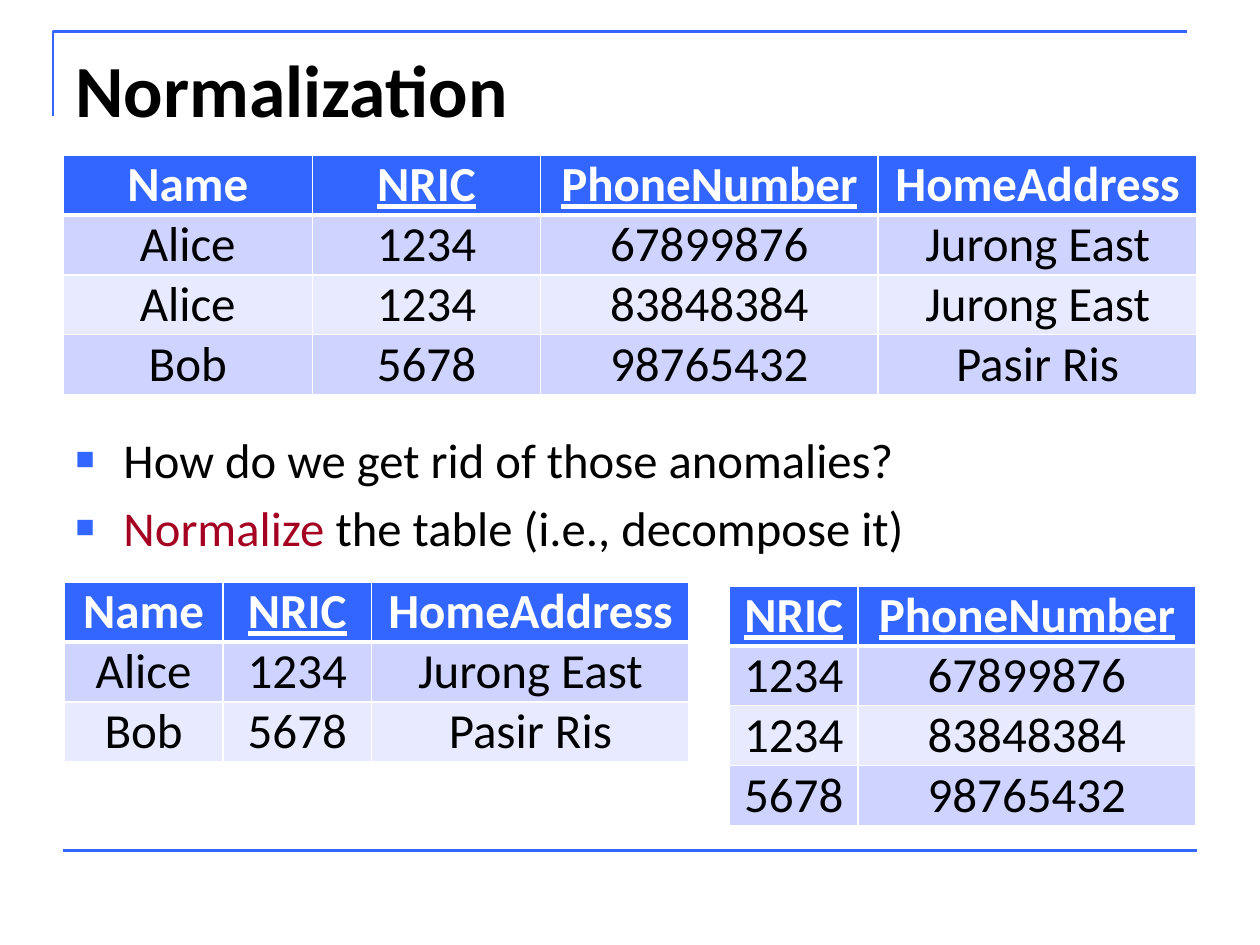
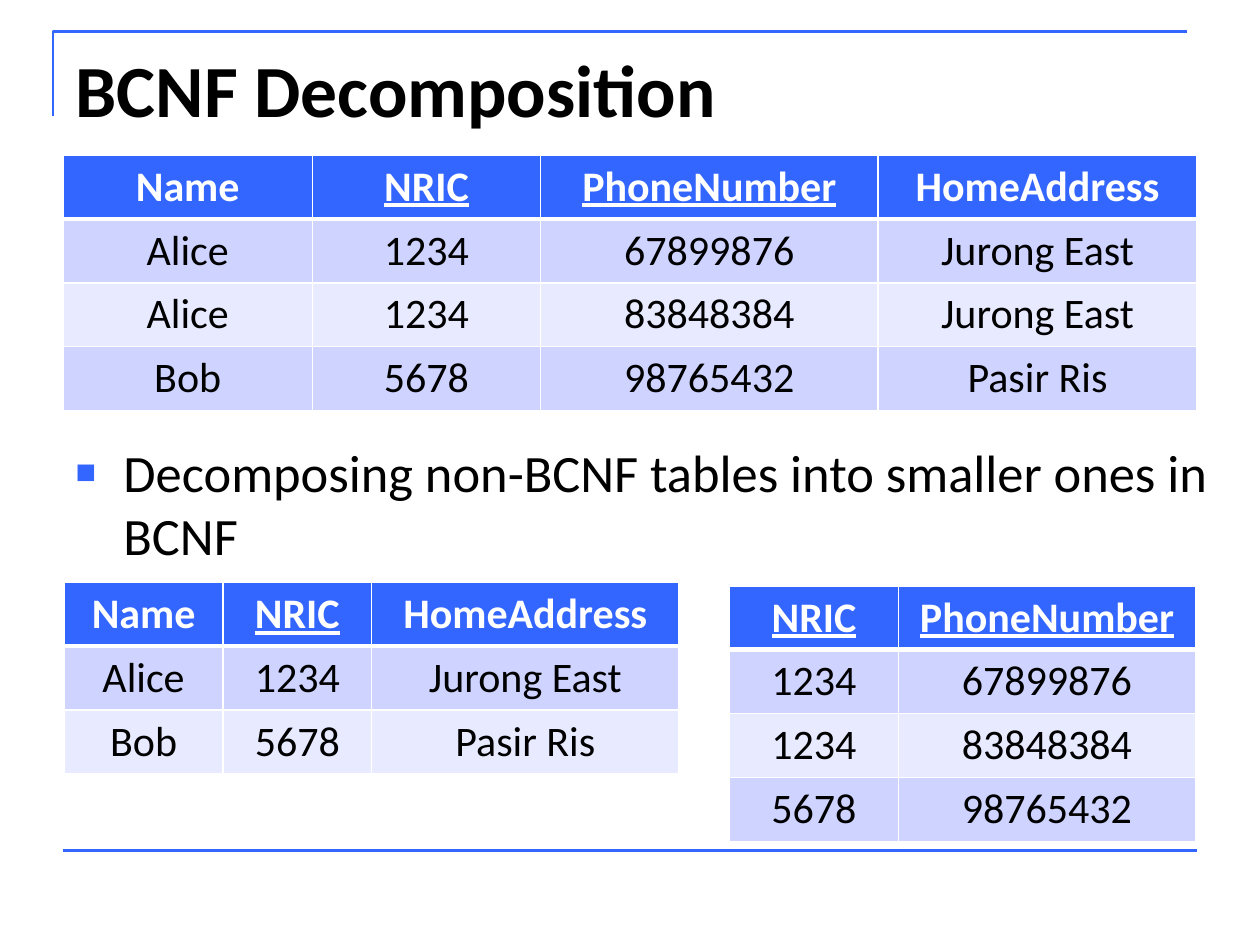
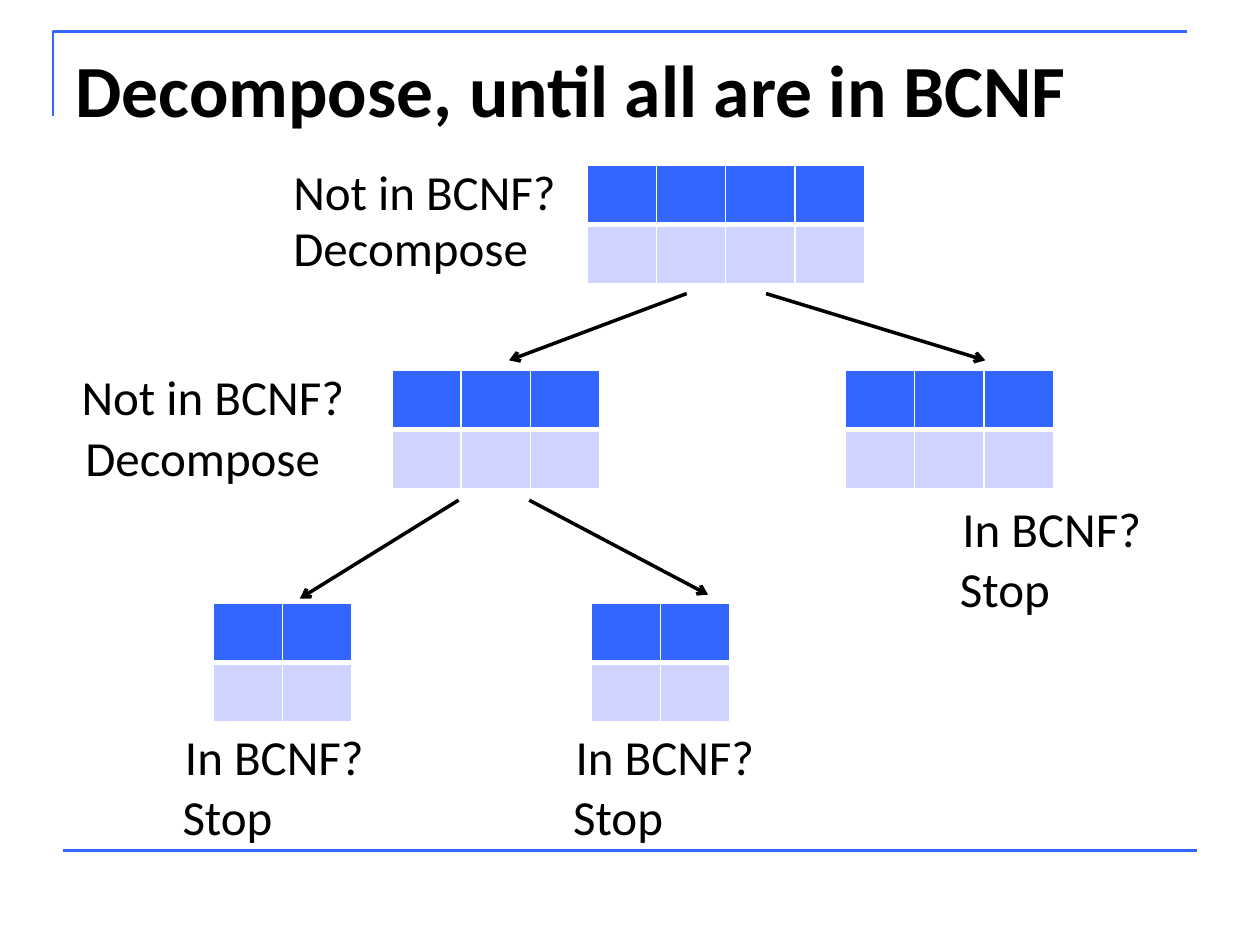
from lxml.etree import SubElement
from pptx import Presentation
from pptx.dml.color import RGBColor
from pptx.enum.shapes import MSO_CONNECTOR as Connector
from pptx.enum.text import MSO_ANCHOR as Anchor, MSO_AUTO_SIZE as AutoSize, PP_ALIGN as Align
from pptx.oxml.ns import qn
from pptx.util import Inches, Pt

BLUE = RGBColor(0x33, 0x66, 0xFF)
DARK_BAND = RGBColor(0xCE, 0xD3, 0xFF)
LIGHT_BAND = RGBColor(0xE8, 0xEA, 0xFF)
RED = RGBColor(0xA5, 0x00, 0x21)
BLACK = RGBColor(0, 0, 0)
WHITE = RGBColor(0xFF, 0xFF, 0xFF)
FONT = "Calibri"

TITLE_AND_BODY, TITLE_ONLY = 1, 5

# Contact data, with the key columns underlined in headers
COLUMNS = ("Name", "NRIC", "PhoneNumber", "HomeAddress")
KEYS = {"NRIC", "PhoneNumber"}
CONTACTS = [
    ("Alice", "1234", "67899876", "Jurong East"),
    ("Alice", "1234", "83848384", "Jurong East"),
    ("Bob", "5678", "98765432", "Pasir Ris"),
]


def project(*names):
    """Header and distinct rows of the contacts, cut down to some columns."""
    picks = [COLUMNS.index(name) for name in names]
    rows = dict.fromkeys(tuple(row[i] for i in picks) for row in CONTACTS)
    return [names, *rows]


def write(paragraph, text, size=28, color=BLACK, bold=False, underline=False, align=None):
    if align is not None:
        paragraph.alignment = align
    run = paragraph.add_run()
    run.text = text
    font = run.font
    font.name, font.size, font.bold, font.underline = FONT, Pt(size), bold, underline
    font.color.rgb = color


def place(shape, left, top, width, height):
    shape.left, shape.top = Inches(left), Inches(top)
    shape.width, shape.height = Inches(width), Inches(height)


def add_bullet(paragraph):
    props = paragraph._p.get_or_add_pPr()
    props.set("marL", str(Inches(0.38)))
    props.set("indent", str(-Inches(0.38)))
    color = SubElement(props, qn("a:buClr"))
    SubElement(color, qn("a:srgbClr"), val=str(BLUE))
    SubElement(props, qn("a:buSzPct"), val="65000")
    SubElement(props, qn("a:buFont"), typeface="Arial")
    SubElement(props, qn("a:buChar"), char="■")


def add_borders(cell, **widths):
    props = cell._tc.get_or_add_tcPr()
    for side in ("L", "R", "T", "B"):
        border = SubElement(props, qn(f"a:ln{side}"), w=str(Pt(widths.get(side, 1))))
        fill = SubElement(border, qn("a:solidFill"))
        SubElement(fill, qn("a:srgbClr"), val=str(WHITE))


class Deck:
    def __init__(self):
        self.show = Presentation()
        self.show.slide_width, self.show.slide_height = Inches(10), Inches(7.5)
        self.slide = None

    def new_slide(self, title, layout):
        self.slide = self.show.slides.add_slide(self.show.slide_layouts[layout])
        self.frame_lines()
        heading = self.slide.shapes.title
        place(heading, 0.5, 0.3, 9, 1.25)
        frame = heading.text_frame
        frame.vertical_anchor, frame.auto_size = Anchor.TOP, AutoSize.NONE
        write(frame.paragraphs[0], title, size=42, bold=True, align=Align.LEFT)

    def frame_lines(self):
        builder = self.slide.shapes.build_freeform(Inches(0.42), Inches(0.92))
        builder.add_line_segments(
            [(Inches(0.42), Inches(0.25)), (Inches(9.42), Inches(0.25))], close=False)
        corner = builder.convert_to_shape()
        corner.shadow.inherit = False
        corner.fill.background()
        corner.line.color.rgb, corner.line.width = BLUE, Pt(1.5)
        self.line((0.5, 6.75), (9.5, 6.75), BLUE, 1.5)

    def line(self, start, end, color=BLACK, width=2, arrow=False):
        line = self.slide.shapes.add_connector(
            Connector.STRAIGHT, *(Inches(value) for value in (*start, *end)))
        line.line.color.rgb, line.line.width = color, Pt(width)
        if arrow:
            SubElement(line.line._get_or_add_ln(), qn("a:tailEnd"), type="arrow")
        SubElement(line._element.spPr, qn("a:effectLst"))

    def bullets(self, items, box, size):
        """Each item is a list of (text, colour) parts."""
        body = self.slide.placeholders[1]
        place(body, *box)
        frame = body.text_frame
        frame.auto_size = AutoSize.NONE
        for index, parts in enumerate(items):
            paragraph = frame.add_paragraph() if index else frame.paragraphs[0]
            paragraph.space_before = Pt(0.2 * size if index else 0)
            add_bullet(paragraph)
            for text, color in parts:
                write(paragraph, text, size=size, color=color)

    def table(self, rows, left, top, widths, row_height, size=28, padding=0.05):
        table = self.slide.shapes.add_table(
            len(rows), len(widths), Inches(left), Inches(top),
            Inches(sum(widths)), Inches(row_height * len(rows))).table
        for column, width in zip(table.columns, widths):
            column.width = Inches(width)
        for r, row in enumerate(rows):
            header = r == 0
            for c, text in enumerate(row):
                cell = table.cell(r, c)
                cell.margin_top = cell.margin_bottom = Inches(padding)
                add_borders(cell, T=3 if r == 1 else 1, B=3 if header else 1)
                cell.fill.solid()
                cell.fill.fore_color.rgb = (
                    BLUE if header else DARK_BAND if r % 2 else LIGHT_BAND)
                if text:
                    write(cell.text_frame.paragraphs[0], text, size=size, bold=header,
                          color=WHITE if header else BLACK,
                          underline=header and text in KEYS, align=Align.CENTER)

    def label(self, text, left, top, width):
        box = self.slide.shapes.add_textbox(
            Inches(left), Inches(top), Inches(width), Inches(0.57))
        box.text_frame.word_wrap = True
        write(box.text_frame.paragraphs[0], text)

    def contact_tables(self, address_widths, phone_widths, **style):
        """The full table on top and its two decomposed parts below."""
        self.table(project(*COLUMNS), 0.5, 1.23, (1.98, 1.81, 2.68, 2.53), **style)
        self.table(project("Name", "NRIC", "HomeAddress"), 0.51, 4.62, address_widths, **style)
        self.table(project("NRIC", "PhoneNumber"), 5.79, 4.65, phone_widths, **style)


def main():
    deck = Deck()

    # Normalization
    deck.new_slide("Normalization", TITLE_AND_BODY)
    deck.bullets([
        [("How do we get rid of those anomalies?", BLACK)],
        [("Normalize", RED), (" the table (i.e., decompose it)", BLACK)],
    ], (0.5, 3.36, 9.22, 1.02), size=27.8)
    deck.contact_tables((1.26, 1.18, 2.52), (1.02, 2.68), row_height=0.47, padding=0)

    # BCNF decomposition
    deck.new_slide("BCNF Decomposition", TITLE_AND_BODY)
    deck.bullets([[("Decomposing non-BCNF tables into smaller ones in BCNF", BLACK)]],
                 (0.5, 3.44, 9.22, 1.18), size=30)
    deck.contact_tables((1.26, 1.18, 2.44), (1.34, 2.36), row_height=0.5, size=24)

    # Decomposition tree
    deck.new_slide("Decompose, until all are in BCNF", TITLE_ONLY)
    tree_nodes = [(4, 4.66, 1.31), (3, 3.11, 2.94), (3, 6.71, 2.94),
                  (2, 1.69, 4.79), (2, 4.69, 4.79)]
    for columns, left, top in tree_nodes:
        deck.table([[""] * columns] * 2, left, top, [0.55] * columns, row_height=0.47)

    branches = [((5.45, 2.33), (4.04, 2.86)), ((6.08, 2.33), (7.82, 2.86)),
                ((3.64, 3.97), (2.38, 4.75)), ((4.2, 3.97), (5.62, 4.72))]
    for parent, child in branches:
        deck.line(parent, child, arrow=True)

    # Question and verdict beside each node
    verdicts = {
        ("Not in BCNF?", 2.4): [(2.23, 1.23), (0.55, 2.86)],
        ("Decompose", 2.17): [(2.23, 1.68), (0.58, 3.34)],
        ("In BCNF?", 1.73): [(7.54, 3.91), (1.37, 5.72), (4.47, 5.72)],
        ("Stop", 1.01): [(7.52, 4.38), (1.35, 6.19), (4.45, 6.19)],
    }
    for (text, width), spots in verdicts.items():
        for left, top in spots:
            deck.label(text, left, top, width)

    deck.show.save("out.pptx")


if __name__ == "__main__":
    main()
